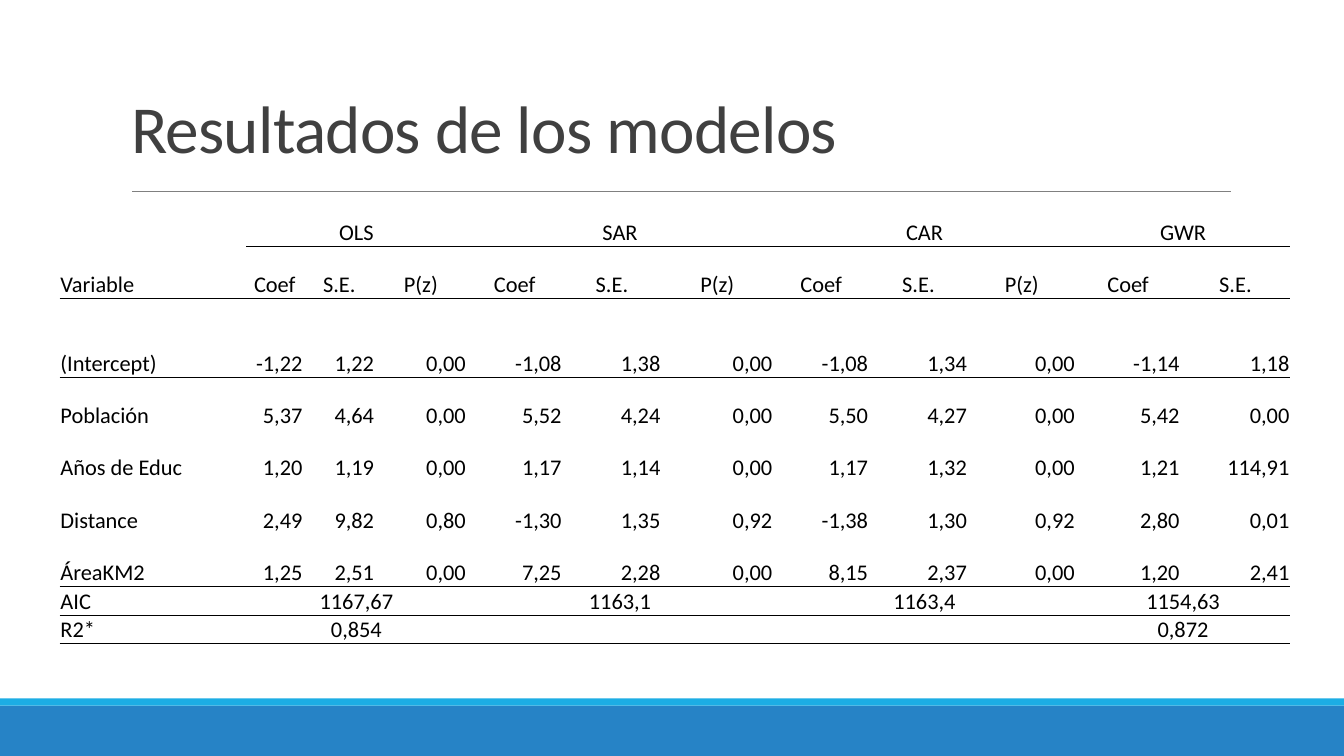
from lxml.etree import SubElement
from pptx import Presentation
from pptx.dml.color import RGBColor as Rgb
from pptx.enum.shapes import MSO_CONNECTOR as Link, MSO_SHAPE as Form
from pptx.enum.text import MSO_ANCHOR as Anchor, MSO_AUTO_SIZE as Fit, PP_ALIGN as Align
from pptx.oxml import parse_xml
from pptx.oxml.ns import nsdecls, qn
from pptx.util import Pt

PX = 9144  # 100 px to the inch
COLORS = {"text": "000000", "title": "404040", "line": "808080",
          "band": "2683C6", "strip": "1CADE4"}
PLAIN = "{2D5ABB26-0587-4C30-8999-92F81FD0307C}"

WIDTHS = [185, 57, 71, 91, 95, 98, 111, 95, 98, 107, 104, 109]
HEIGHTS = [27, 52, 78, 52, 52, 52, 52, 27, 27]
GROUPS = [(1, 3), (4, 3), (7, 3), (10, 2)]  # first column, column count
MODELS = ["OLS", "SAR", "CAR", "GWR"]
BODY = [
    "Variable|Coef|S.E.|P(z)|Coef|S.E.|P(z)|Coef|S.E.|P(z)|Coef|S.E.",
    "(Intercept)|-1,22|1,22|0,00|-1,08|1,38|0,00|-1,08|1,34|0,00|-1,14|1,18",
    "Población|5,37|4,64|0,00|5,52|4,24|0,00|5,50|4,27|0,00|5,42|0,00",
    "Años de Educ|1,20|1,19|0,00|1,17|1,14|0,00|1,17|1,32|0,00|1,21|114,91",
    "Distance|2,49|9,82|0,80|-1,30|1,35|0,92|-1,38|1,30|0,92|2,80|0,01",
    "ÁreaKM2|1,25|2,51|0,00|7,25|2,28|0,00|8,15|2,37|0,00|1,20|2,41",
]
AIC = ["1167,67", "1163,1", "1163,4", "1154,63"]
R2 = ["0,854", "", "", "0,872"]


def spread(name, values):
    """Place one value at the first column of each model group."""
    row = [name] + [""] * (len(WIDTHS) - 1)
    for (col, _), value in zip(GROUPS, values):
        row[col] = value
    return row


class Deck:
    font = "Calibri"

    def __init__(self, width, height):
        self.prs = Presentation()
        self.prs.slide_width, self.prs.slide_height = width * PX, height * PX
        self.slide = self.prs.slides.add_slide(self.prs.slide_layouts[5])

    def style(self, para, size, color, align):
        para.font.name, para.font.size = self.font, Pt(size)
        para.font.color.rgb = Rgb.from_string(COLORS[color])
        para.alignment = align

    def title(self, text, x, y, w, h):
        shape = self.slide.shapes.title
        shape.left, shape.top, shape.width, shape.height = (v * PX for v in (x, y, w, h))
        frame = shape.text_frame
        frame.text = text
        frame.auto_size, frame.vertical_anchor = Fit.NONE, Anchor.BOTTOM
        para = frame.paragraphs[0]
        self.style(para, 48, "title", Align.LEFT)
        para.line_spacing = 0.85
        para.runs[0]._r.get_or_add_rPr().set("spc", "-50")

    def bar(self, x, y, w, h, color):
        shape = self.slide.shapes.add_shape(Form.RECTANGLE, *(v * PX for v in (x, y, w, h)))
        shape.shadow.inherit = False
        shape.fill.solid()
        shape.fill.fore_color.rgb = Rgb.from_string(COLORS[color])
        shape.line.fill.background()

    def line(self, x1, y1, x2, y2):
        link = self.slide.shapes.add_connector(Link.STRAIGHT, *(v * PX for v in (x1, y1, x2, y2)))
        link.line.color.rgb = Rgb.from_string(COLORS["line"])
        link.line.width = Pt(0.5)
        SubElement(link._element.spPr, qn("a:effectLst"))

    def cell(self, cell, text, align):
        cell.fill.background()
        cell.vertical_anchor = Anchor.BOTTOM
        cell.margin_left = cell.margin_right = cell.margin_top = PX
        cell.margin_bottom = 0
        para = cell.text_frame.paragraphs[0]
        if text:
            para.text = text
        else:
            SubElement(para._p, qn("a:endParaRPr"), sz="1600")
        self.style(para, 16, "text", align)

    def edge(self, cell, side):
        """Draw the top (T) or bottom (B) border of a cell."""
        cell._tc.get_or_add_tcPr().insert(0, parse_xml(
            f'<a:ln{side} {nsdecls("a")} w="6350"><a:solidFill>'
            f'<a:srgbClr val="{COLORS["text"]}"/></a:solidFill></a:ln{side}>'))

    def table(self, rows, x, y):
        """Add the table of results with merged model groups and ruled rows."""
        frame = self.slide.shapes.add_table(
            len(rows), len(WIDTHS), x * PX, y * PX, sum(WIDTHS) * PX, sum(HEIGHTS) * PX)
        table = frame.table
        table.first_row = table.horz_banding = False
        table._tbl.tblPr.find(qn("a:tableStyleId")).text = PLAIN
        for col, width in zip(table.columns, WIDTHS):
            col.width = width * PX
        for row, height in zip(table.rows, HEIGHTS):
            row.height = height * PX
        last = len(rows) - 1
        for r, row in enumerate(rows):
            for c, text in enumerate(row):
                number = Align.RIGHT if 2 <= r <= 6 else Align.CENTER
                cell = table.cell(r, c)
                self.cell(cell, text, number if c else Align.LEFT)
                if r in (1, 6, last) or (r == 0 and c):
                    self.edge(cell, "B")
                if r in (2, 7) or (r == 1 and c):
                    self.edge(cell, "T")
        for r in (0, last - 1, last):
            for col, count in GROUPS:
                if rows[r][col]:
                    table.cell(r, col).merge(table.cell(r, col + count - 1))


def main():
    deck = Deck(1333, 750)
    deck.bar(0, 700, 1333, 50, "band")
    deck.bar(0, 693, 1333, 7, "strip")
    deck.line(131, 190, 1221, 190)
    deck.title("Resultados de los modelos", 120, 31, 1100, 140)
    rows = [spread("", MODELS), *(line.split("|") for line in BODY),
            spread("AIC", AIC), spread("R2*", R2)]
    deck.table(rows, 59, 216)
    deck.prs.save("out.pptx")


if __name__ == "__main__":
    main()
